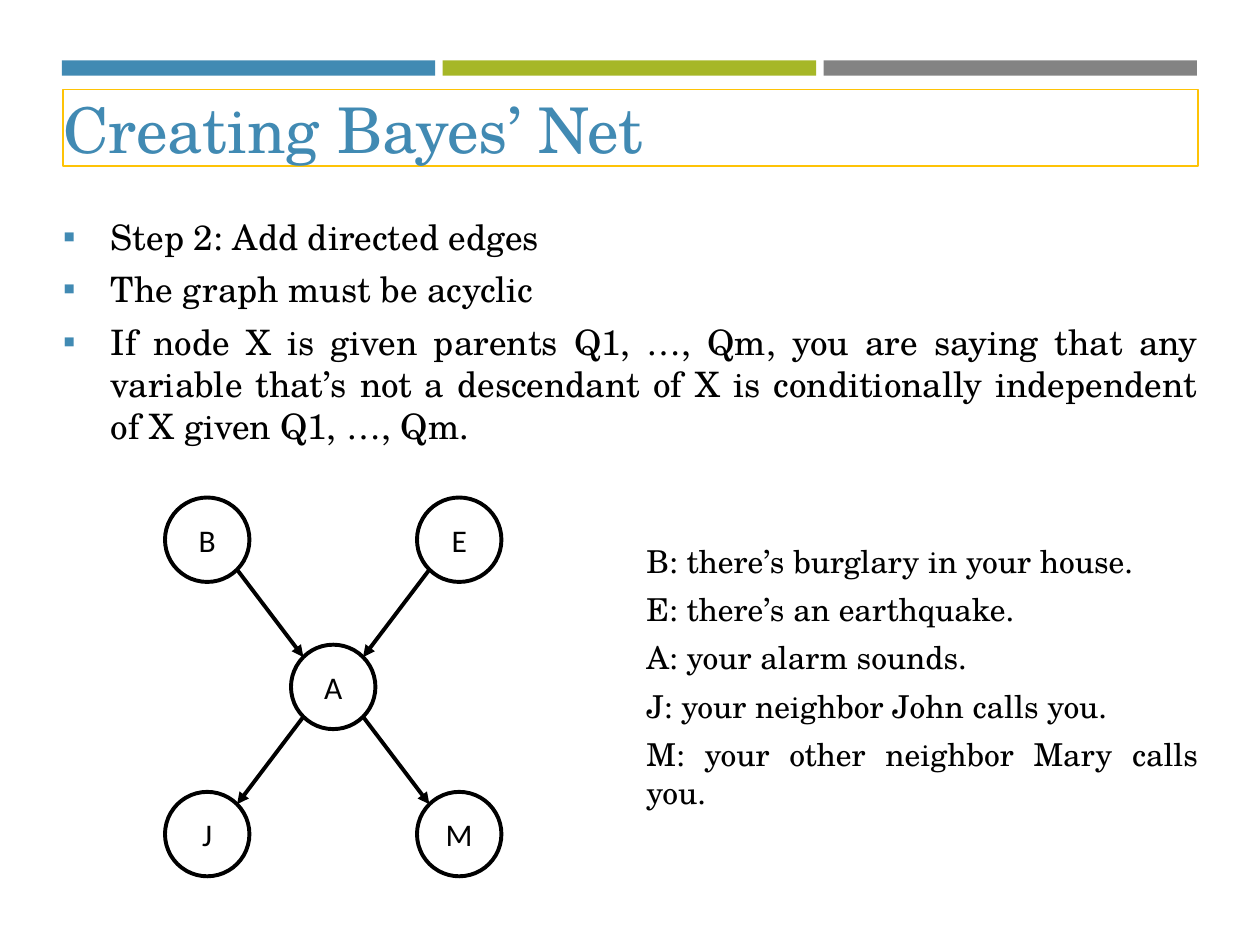
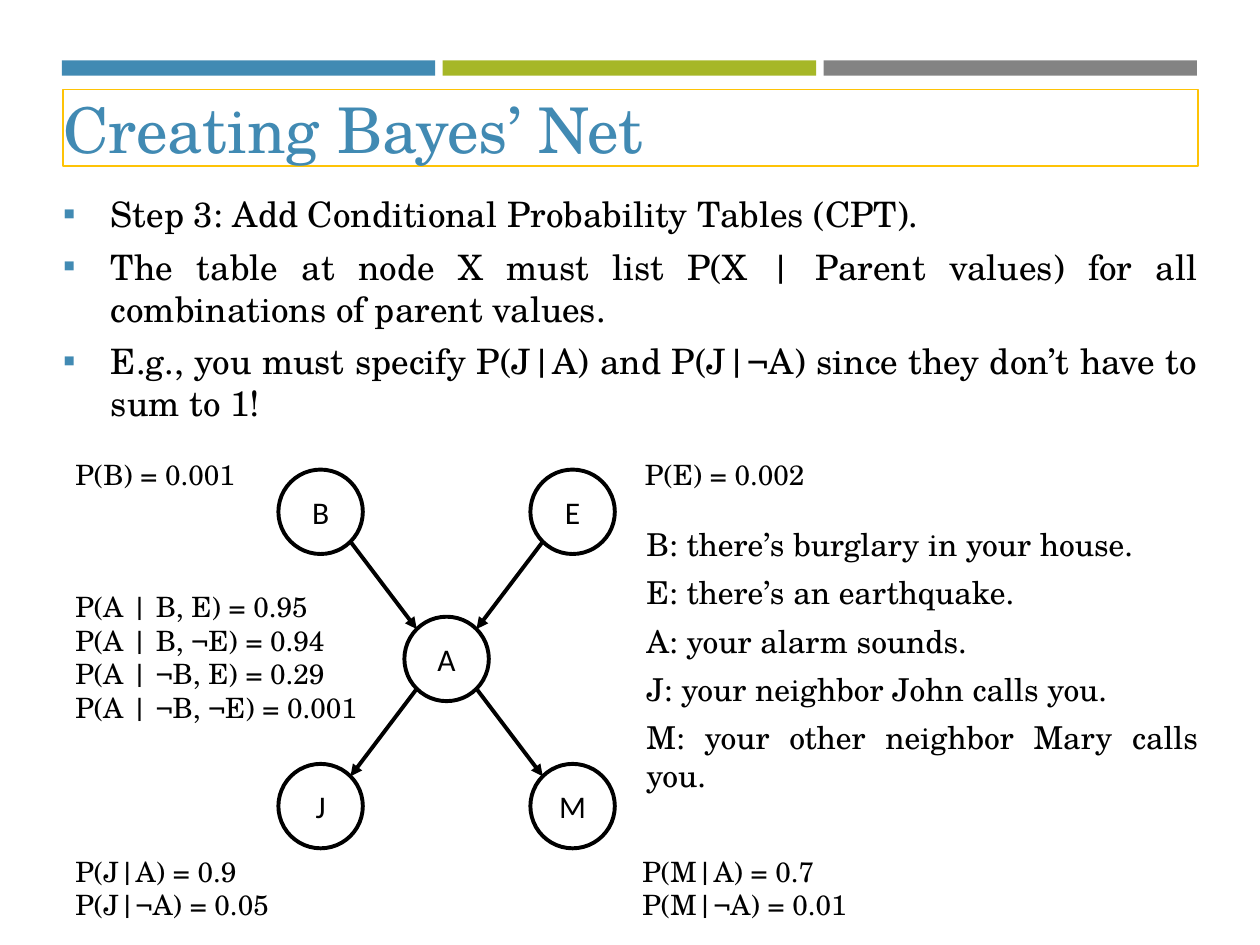
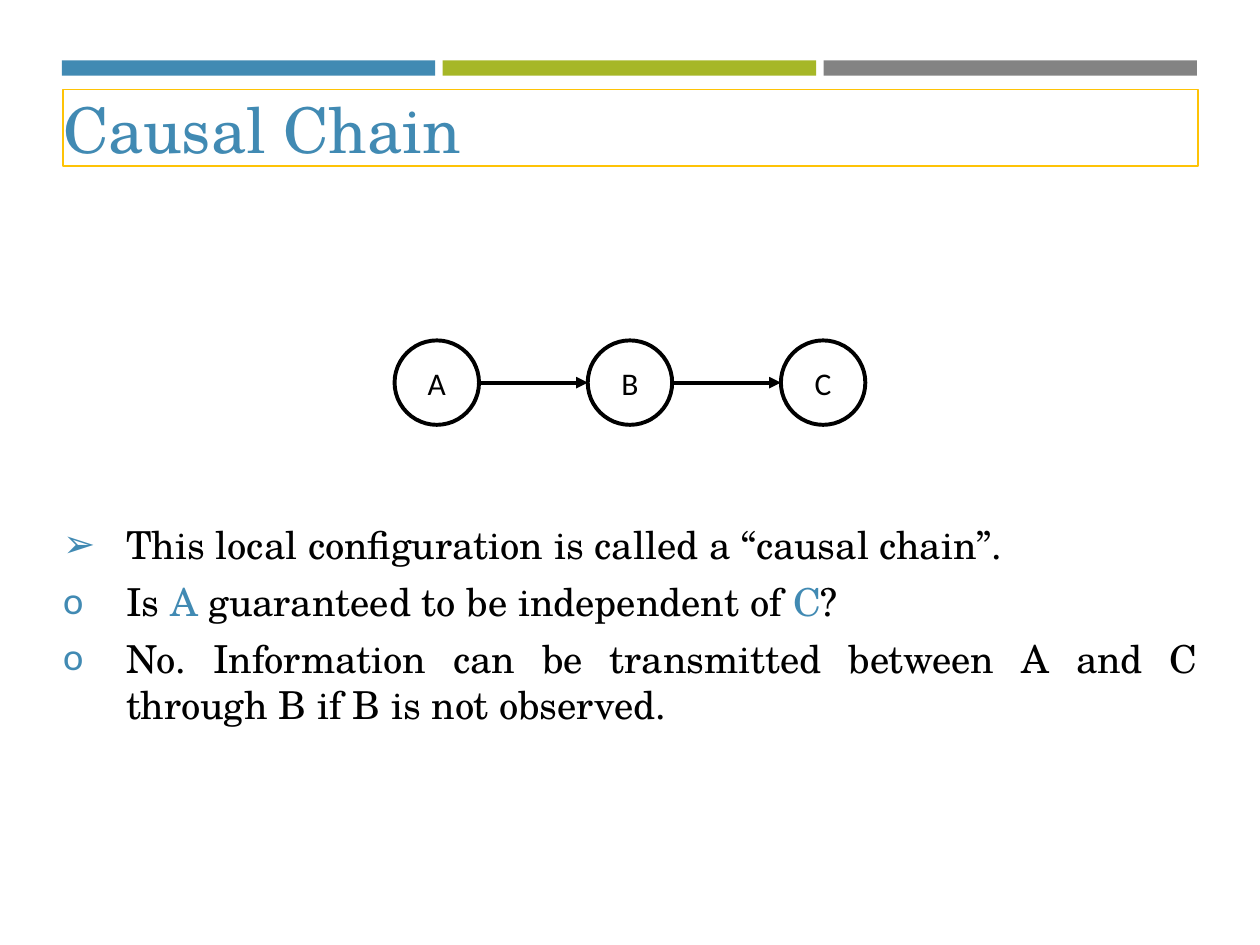
from dataclasses import dataclass
from math import hypot
from typing import Any, NamedTuple

from lxml import etree
from pptx import Presentation
from pptx import util as u
from pptx.dml import color as dml
from pptx.enum import shapes, text
from pptx.oxml import ns

# The slide is a grid of 100 columns by 75 rows of square cells.
COLUMNS, ROWS = 100, 75
CELL = u.Inches(0.1)
MARGIN, CONTENT_WIDTH = 5, 90.1
DIAMETER = 6.7

BLUE, GREEN, GREY, YELLOW, BLACK = "418AB3", "A6B727", "838383", "FEC306", "000000"
SERIF, SANS = "TeX Gyre Schola", "Calibri"

ALARM_EVENTS = [
    "B: there’s burglary in your house.",
    "E: there’s an earthquake.",
    "A: your alarm sounds.",
    "J: your neighbor John calls you.",
    "M: your other neighbor Mary calls you.",
]
ALARM_EDGES = ["BA", "EA", "AJ", "AM"]


class Box(NamedTuple):
    column: float
    row: float
    width: float
    height: float

    def lengths(self) -> list[int]:
        return [cells(value) for value in self]


@dataclass(frozen=True)
class TextStyle:
    size: float
    color: str = BLACK
    font: str = SERIF
    align: text.PP_ALIGN = text.PP_ALIGN.LEFT
    space_after: float = 0
    indent: float = 0
    inset: float = 0
    anchor: text.MSO_ANCHOR = text.MSO_ANCHOR.MIDDLE


@dataclass(frozen=True)
class Node:
    """A circle with a one-letter label, placed by its centre."""

    label: str
    column: float
    row: float


class Probability(NamedTuple):
    box: Box
    lines: list[str]


JUSTIFY = text.PP_ALIGN.JUSTIFY
TITLE = TextStyle(36, color=BLUE)
STEPS = TextStyle(20, align=JUSTIFY, space_after=6, indent=3.8)
CHAIN_NOTES = TextStyle(22, align=JUSTIFY, space_after=6, indent=5)
EVENTS = TextStyle(18, align=JUSTIFY, space_after=6)
PROBABILITY = TextStyle(16, inset=1, anchor=text.MSO_ANCHOR.TOP)
NODE_LABEL = TextStyle(18, font=SANS, align=text.PP_ALIGN.CENTER)


def cells(count: float) -> int:
    return round(count * CELL)


def rgb(color: str) -> dml.RGBColor:
    return dml.RGBColor.from_string(color)


def apply(target: Any, values: dict[str, Any]) -> None:
    for name, value in values.items():
        setattr(target, name, value)


def add_bullet(paragraph: Any, bullet: str, indent: float) -> None:
    properties = paragraph._p.get_or_add_pPr()
    properties.set("marL", str(cells(indent)))
    properties.set("indent", str(-cells(indent)))
    bullet_color = etree.SubElement(properties, ns.qn("a:buClr"))
    etree.SubElement(bullet_color, ns.qn("a:srgbClr"), val=BLUE)
    etree.SubElement(properties, ns.qn("a:buFont"), typeface=SANS)
    etree.SubElement(properties, ns.qn("a:buChar"), char=bullet)


def write(frame: Any, lines: list[str], style: TextStyle, bullets: str = "") -> None:
    """Fill a frame, one bullet per line; words between asterisks are blue."""
    inset = cells(style.inset)
    apply(frame, {
        "margin_left": inset, "margin_right": inset,
        "margin_top": inset // 2, "margin_bottom": inset // 2,
        "word_wrap": True, "vertical_anchor": style.anchor,
    })
    for index, line in enumerate(lines):
        paragraph = frame.paragraphs[0] if index == 0 else frame.add_paragraph()
        apply(paragraph, {"alignment": style.align,
                          "space_after": u.Pt(style.space_after)})
        if bullets:
            add_bullet(paragraph, bullets[index], style.indent)
        for position, words in enumerate(line.split("*")):
            run = paragraph.add_run()
            run.text = words
            apply(run.font, {"name": style.font, "size": u.Pt(style.size)})
            run.font.color.rgb = rgb(BLUE if position % 2 else style.color)


def add_text(slide: Any, box: Box, lines: list[str], style: TextStyle,
             bullets: str = "") -> None:
    frame = slide.shapes.add_textbox(*box.lengths()).text_frame
    write(frame, lines, style, bullets)
    frame.auto_size = text.MSO_AUTO_SIZE.SHAPE_TO_FIT_TEXT


def add_outline(slide: Any, kind: shapes.MSO_SHAPE, box: Box, color: str,
                weight: float) -> Any:
    shape = slide.shapes.add_shape(kind, *box.lengths())
    shape.shadow.inherit = False
    shape.fill.background()
    shape.line.color.rgb = rgb(color)
    shape.line.width = u.Pt(weight)
    return shape


def add_bands(slide: Any) -> None:
    gap = 0.6
    width = (CONTENT_WIDTH - 2 * gap) / 3
    for index, color in enumerate([BLUE, GREEN, GREY]):
        box = Box(4.9 + index * (width + gap), 4.8, width, 1.2)
        band = slide.shapes.add_shape(shapes.MSO_SHAPE.RECTANGLE, *box.lengths())
        band.shadow.inherit = False
        band.fill.solid()
        band.fill.fore_color.rgb = rgb(color)
        band.line.fill.background()


def add_titled_slide(presentation: Any, title: str) -> Any:
    slide = presentation.slides.add_slide(presentation.slide_layouts[6])
    add_bands(slide)
    frame = add_outline(slide, shapes.MSO_SHAPE.RECTANGLE,
                        Box(MARGIN, 7.1, CONTENT_WIDTH, 6.1), YELLOW, 1).text_frame
    write(frame, [title], TITLE)
    return slide


def add_node(slide: Any, node: Node) -> None:
    box = Box(node.column - DIAMETER / 2, node.row - DIAMETER / 2, DIAMETER, DIAMETER)
    circle = add_outline(slide, shapes.MSO_SHAPE.OVAL, box, BLACK, 2.25)
    write(circle.text_frame, [node.label], NODE_LABEL)


def add_edge(slide: Any, start: Node, end: Node) -> None:
    """Draw an arrow between the nearest of the eight compass points of two circles."""
    across = (end.column > start.column) - (end.column < start.column)
    down = (end.row > start.row) - (end.row < start.row)
    reach = DIAMETER / 2 / hypot(across, down)
    ends = [start.column + reach * across, start.row + reach * down,
            end.column - reach * across, end.row - reach * down]
    edge = slide.shapes.add_connector(shapes.MSO_CONNECTOR.STRAIGHT, *map(cells, ends))
    edge.line.color.rgb = rgb(BLACK)
    edge.line.width = u.Pt(2.25)
    etree.SubElement(edge.line._get_or_add_ln(), ns.qn("a:tailEnd"), type="triangle")
    etree.SubElement(edge._element.spPr, ns.qn("a:effectLst"))


def add_graph(slide: Any, nodes: list[Node], edges: list[str]) -> None:
    by_label = {node.label: node for node in nodes}
    for node in nodes:
        add_node(slide, node)
    for start, end in edges:
        add_edge(slide, by_label[start], by_label[end])


def add_alarm_net(slide: Any, column: float, row: float) -> None:
    """Draw the five-node net around node A."""
    across, down = 10, 11.68
    nodes = [
        Node("B", column - across, row - down),
        Node("E", column + across, row - down),
        Node("A", column, row),
        Node("J", column - across, row + down),
        Node("M", column + across, row + down),
    ]
    add_graph(slide, nodes, ALARM_EDGES)


def add_edges_slide(presentation: Any) -> None:
    slide = add_titled_slide(presentation, "Creating Bayes’ Net")
    add_text(slide, Box(MARGIN, 17, CONTENT_WIDTH, 18.5), [
        "Step 2: Add directed edges",
        "The graph must be acyclic",
        "If node X is given parents Q1, …, Qm, you are saying that any variable "
        "that’s not a descendant of X is conditionally independent of X "
        "given Q1, …, Qm.",
    ], STEPS, "▪▪▪")
    add_alarm_net(slide, 26.45, 54.52)
    add_text(slide, Box(51.3, 44.4, 43.8, 18.5), ALARM_EVENTS, EVENTS)


def add_tables_slide(presentation: Any) -> None:
    slide = add_titled_slide(presentation, "Creating Bayes’ Net")
    add_text(slide, Box(MARGIN, 15.2, CONTENT_WIDTH, 18.5), [
        "Step 3: Add Conditional Probability Tables (CPT).",
        "The table at node X must list P(X | Parent values) for all combinations "
        "of parent values.",
        "E.g., you must specify P(J|A) and P(J|¬A) since they don’t have to sum to 1!",
    ], STEPS, "▪▪▪")
    add_alarm_net(slide, 35.45, 52.3)
    add_text(slide, Box(51.3, 43.1, 43.8, 18.5), ALARM_EVENTS, EVENTS)
    for probability in [
        Probability(Box(MARGIN, 35.8, 15.8, 3.7), ["P(B) = 0.001"]),
        Probability(Box(50.2, 35.8, 15.8, 3.7), ["P(E) = 0.002"]),
        Probability(Box(MARGIN, 46.3, 25.4, 11.8), [
            "P(A | B, E) = 0.95", "P(A | B, ¬E) = 0.94",
            "P(A | ¬B, E) = 0.29", "P(A | ¬B, ¬E) = 0.001"]),
        Probability(Box(MARGIN, 67.3, 18.5, 6.4), ["P(J|A) = 0.9", "P(J|¬A) = 0.05"]),
        Probability(Box(50, 67.3, 18.5, 6.4), ["P(M|A) = 0.7", "P(M|¬A) = 0.01"]),
    ]:
        add_text(slide, probability.box, probability.lines, PROBABILITY)


def add_chain_slide(presentation: Any) -> None:
    slide = add_titled_slide(presentation, "Causal Chain")
    nodes = [Node(label, COLUMNS / 2 + step * 15.33, 30.37)
             for step, label in enumerate("ABC", start=-1)]
    add_graph(slide, nodes, ["AB", "BC"])
    add_text(slide, Box(MARGIN, 41.3, CONTENT_WIDTH, 16.5), [
        "This local configuration is called a “causal chain”.",
        "Is *A* guaranteed to be independent of *C*?",
        "No. Information can be transmitted between A and C through B "
        "if B is not observed.",
    ], CHAIN_NOTES, "➢oo")


def main() -> None:
    presentation = Presentation()
    apply(presentation, {"slide_width": cells(COLUMNS), "slide_height": cells(ROWS)})
    add_edges_slide(presentation)
    add_tables_slide(presentation)
    add_chain_slide(presentation)
    presentation.save("out.pptx")


if __name__ == "__main__":
    main()
